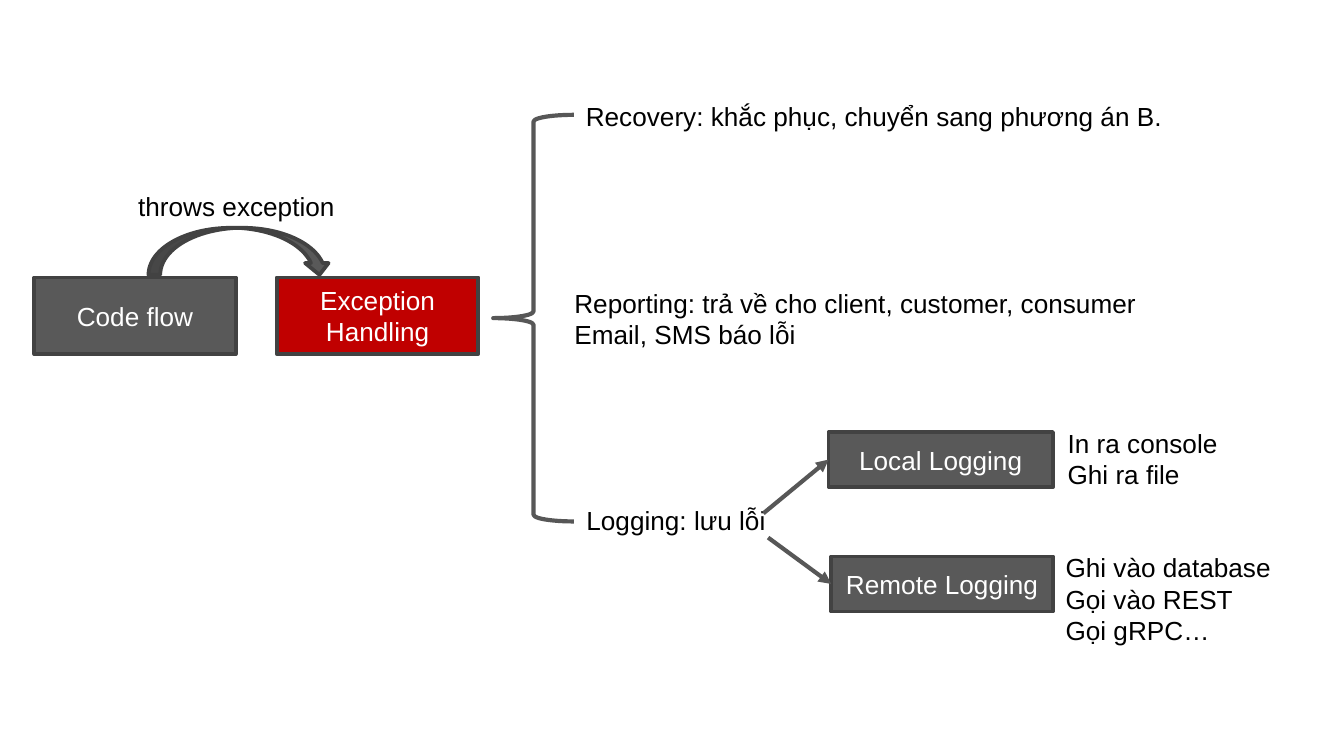
from pptx import Presentation
from pptx.dml.color import RGBColor
from pptx.enum.shapes import MSO_CONNECTOR, MSO_SHAPE
from pptx.enum.text import MSO_ANCHOR, MSO_AUTO_SIZE, PP_ALIGN
from pptx.oxml.ns import qn
from pptx.util import Pt
from lxml import etree

RECT = MSO_SHAPE.RECTANGLE
ARC = MSO_SHAPE.CURVED_DOWN_ARROW
BRACE = MSO_SHAPE.LEFT_BRACE
LINE = MSO_CONNECTOR.STRAIGHT
MIDDLE = MSO_ANCHOR.MIDDLE
GROW = MSO_AUTO_SIZE.SHAPE_TO_FIT_TEXT
CENTER, LEFT = PP_ALIGN.CENTER, PP_ALIGN.LEFT
PX = 4572  # 200 px to the inch


class Theme:
    font = "Arial"
    size = Pt(14)
    gray = RGBColor(0x59, 0x59, 0x59)
    red = RGBColor(0xC0, 0x00, 0x00)
    edge = RGBColor(0x42, 0x42, 0x42)
    link = RGBColor(0x57, 0x57, 0x57)
    white = RGBColor(0xFF, 0xFF, 0xFF)
    black = RGBColor(0x00, 0x00, 0x00)
    thin = Pt(2)
    thick = Pt(2.25)


def draw(kind, box, fill, edge=Theme.edge, width=Theme.thin):
    shape = slide.shapes.add_shape(kind, *[n * PX for n in box])
    shape.shadow.inherit = False
    if fill is None:
        shape.fill.background()
    else:
        shape.fill.solid()
        shape.fill.fore_color.rgb = fill
    shape.line.color.rgb = edge
    shape.line.width = width
    return shape


def write(frame, text, color, align):
    frame.text = text
    for para in frame.paragraphs:
        para.alignment = align
        para.font.name = Theme.font
        para.font.size = Theme.size
        para.font.color.rgb = color


deck = Presentation()
deck.slide_width, deck.slide_height = 2000 * PX, 1125 * PX
slide = deck.slides.add_slide(deck.slide_layouts[6])

# Arrow from the code flow to the handler, and the brace of options
draw(ARC, (221, 339, 272, 70), Theme.gray)
draw(BRACE, (734, 171, 120, 605), None, Theme.link, Theme.thick)

# Boxes (\v is a line break)
boxes = {}
for text, box, fill in [
    ("Code flow", (51, 413, 300, 114), Theme.gray),
    ("Exception\vHandling", (412, 413, 300, 114), Theme.red),
    ("Local Logging", (1233, 643, 334, 82), Theme.gray),
    ("Remote Logging", (1237, 828, 330, 82), Theme.gray),
]:
    shape = draw(RECT, box, fill)
    shape.text_frame.vertical_anchor = MIDDLE
    write(shape.text_frame, text, Theme.white, CENTER)
    boxes[text] = shape

# Labels
for text, box in [
    ("throws exception", (186, 274, 334, 68)),
    ("Recovery: khắc phục, chuyển sang phương án B.", (852, 140, 902, 68)),
    ("Reporting: trả về cho client, customer, consumer\nEmail, SMS báo lỗi",
     (835, 418, 882, 114)),
    ("Logging: lưu lỗi", (853, 741, 308, 68)),
    ("In ra console\nGhi ra file", (1569, 626, 264, 114)),
    ("Ghi vào database\nGọi vào REST\nGọi gRPC…", (1566, 811, 348, 162)),
]:
    label = slide.shapes.add_textbox(*[n * PX for n in box])
    label.text_frame.word_wrap = False
    label.text_frame.auto_size = GROW
    write(label.text_frame, text, Theme.black, LEFT)

# Arrows from logging to its two kinds
for x, y, name in [(1136, 764, "Local Logging"), (1143, 800, "Remote Logging")]:
    arrow = slide.shapes.add_connector(LINE, x * PX, y * PX, x * PX, y * PX)
    arrow.end_connect(boxes[name], 1)
    arrow.line.color.rgb = Theme.link
    arrow.line.width = Theme.thick
    etree.SubElement(arrow.line._get_or_add_ln(), qn("a:tailEnd"), type="triangle")
    etree.SubElement(arrow._element.spPr, qn("a:effectLst"))

deck.save("out.pptx")
